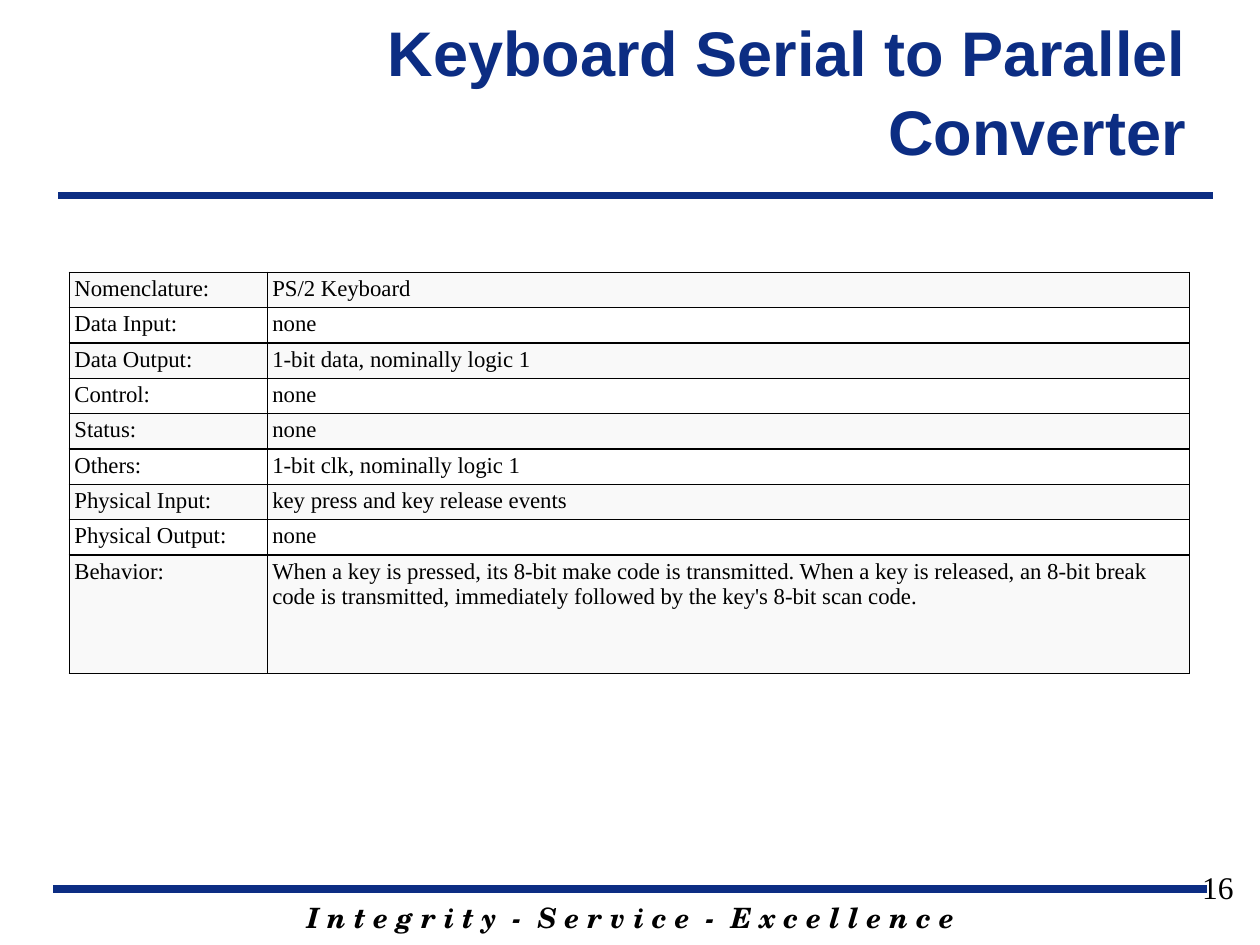
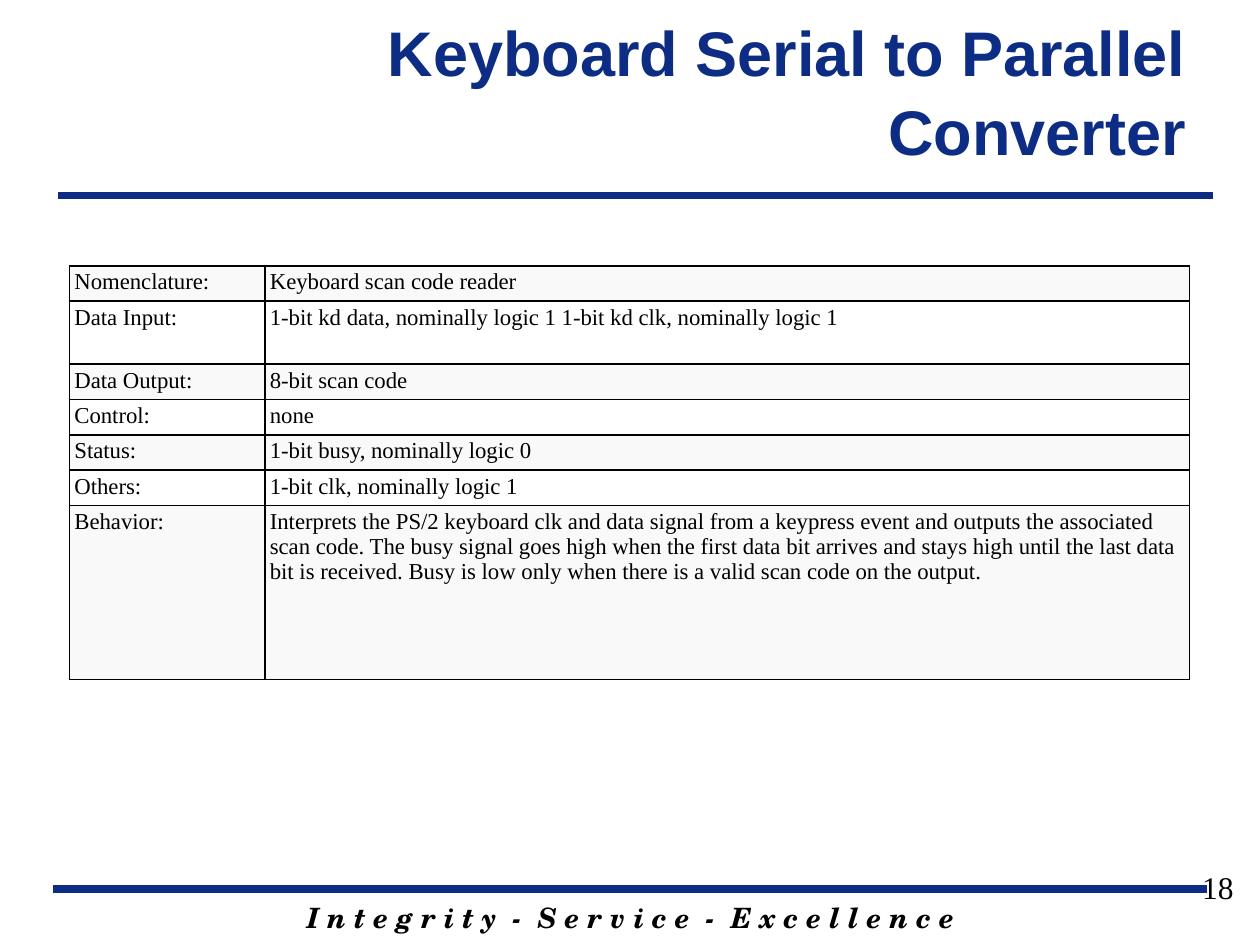
from lxml.etree import SubElement
from pptx import Presentation
from pptx.dml.color import RGBColor
from pptx.enum.shapes import MSO_CONNECTOR
from pptx.enum.text import MSO_ANCHOR, PP_ALIGN
from pptx.oxml.ns import qn
from pptx.util import Cm, Pt

NAVY = RGBColor(0x0C, 0x2D, 0x83)
BLACK = RGBColor(0, 0, 0)
WHITE = RGBColor(0xFF, 0xFF, 0xFF)
PALE = RGBColor(0xF9, 0xF9, 0xF9)

TITLE = "Keyboard Serial to Parallel Converter"
MOTTO = "I n t e g r i t y  -  S e r v i c e  -  E x c e l l e n c e"
RULES = [(1.07, 24.33, 17.93), (1.17, 24.46, 3.94)]  # left, right, y
TABLE_LEFT, TABLE_WIDTH, ROW_HEIGHT = 1.4, 22.58, 0.71

# Each row: label, value and, where it is taller than usual, its height
slides = [
    {"number": 16, "top": 5.49, "label_width": 3.99, "rows": [
        ("Nomenclature:", "PS/2 Keyboard"),
        ("Data Input:", "none"),
        ("Data Output:", "1-bit data, nominally logic 1"),
        ("Control:", "none"),
        ("Status:", "none"),
        ("Others:", "1-bit clk, nominally logic 1"),
        ("Physical Input:", "key press and key release events"),
        ("Physical Output:", "none"),
        ("Behavior:",
         "When a key is pressed, its 8-bit make code is transmitted. "
         "When a key is released, an 8-bit break code is transmitted, "
         "immediately followed by the key's 8-bit scan code.", 2.39),
    ]},
    {"number": 18, "top": 5.36, "label_width": 3.94, "rows": [
        ("Nomenclature:", "Keyboard scan code reader"),
        ("Data Input:",
         "1-bit kd data, nominally logic 1 1-bit kd clk, nominally logic 1",
         1.27),
        ("Data Output:", "8-bit scan code"),
        ("Control:", "none"),
        ("Status:", "1-bit busy, nominally logic 0"),
        ("Others:", "1-bit clk, nominally logic 1"),
        ("Behavior:",
         "Interprets the PS/2 keyboard clk and data signal from a keypress "
         "event and outputs the associated scan code. The busy signal goes "
         "high when the first data bit arrives and stays high until the last "
         "data bit is received. Busy is low only when there is a valid scan "
         "code on the output.", 3.51),
    ]},
]


def add_text(s, box, text, font, size, color, align):
    """Add a one-paragraph text box (box in cm) and return its text frame."""
    tf = s.shapes.add_textbox(*[Cm(v) for v in box]).text_frame
    tf.word_wrap = True
    p = tf.paragraphs[0]
    p.text = text
    p.alignment = align
    p.font.name, p.font.size, p.font.color.rgb = font, Pt(size), color
    return tf


def fill_cell(cell, text, fill):
    """Write a table cell with its fill, tight margins and thin black borders."""
    cell.margin_left = cell.margin_right = Cm(0.1)
    cell.margin_top = cell.margin_bottom = Cm(0.08)
    p = cell.text_frame.paragraphs[0]
    p.text = text
    p.font.name, p.font.size = "Times New Roman", Pt(13)
    p.font.color.rgb = BLACK
    tc_pr = cell._tc.get_or_add_tcPr()
    for side in ("a:lnL", "a:lnR", "a:lnT", "a:lnB"):
        ln = SubElement(tc_pr, qn(side), w=str(Pt(1)))
        solid = SubElement(ln, qn("a:solidFill"))
        SubElement(solid, qn("a:srgbClr"), val=str(BLACK))
    cell.fill.solid()
    cell.fill.fore_color.rgb = fill


prs = Presentation()
prs.slide_width, prs.slide_height = Cm(25.4), Cm(19.05)

for content in slides:
    s = prs.slides.add_slide(prs.slide_layouts[6])

    for left, right, y in RULES:
        rule = s.shapes.add_connector(
            MSO_CONNECTOR.STRAIGHT, Cm(left), Cm(y), Cm(right), Cm(y))
        rule.line.color.rgb = NAVY
        rule.line.width = Pt(4.5)
        SubElement(rule._element.spPr, qn("a:effectLst"))

    tf = add_text(s, (3.61, 18.03, 18.21, 0.94), MOTTO,
                  "TeX Gyre Schola", 16, BLACK, PP_ALIGN.CENTER)
    tf.paragraphs[0].font.bold = tf.paragraphs[0].font.italic = True

    tf = add_text(s, (5.31, 0.2, 18.85, 3.18), TITLE,
                  "Arial", 36, NAVY, PP_ALIGN.RIGHT)
    tf.vertical_anchor = MSO_ANCHOR.MIDDLE
    tf.paragraphs[0].font.bold = True
    tf.paragraphs[0].line_spacing = 1.05

    rows = content["rows"]
    heights = [row[2] if len(row) > 2 else ROW_HEIGHT for row in rows]
    table = s.shapes.add_table(
        len(rows), 2, Cm(TABLE_LEFT), Cm(content["top"]),
        Cm(TABLE_WIDTH), Cm(sum(heights))).table
    table.first_row = table.horz_banding = False
    table.columns[0].width = Cm(content["label_width"])
    table.columns[1].width = Cm(TABLE_WIDTH - content["label_width"])
    for i, row in enumerate(rows):
        table.rows[i].height = Cm(heights[i])
        for j, text in enumerate(row[:2]):
            fill_cell(table.cell(i, j), text, WHITE if i % 2 else PALE)

    add_text(s, (19.2, 17.37, 5.92, 1.32), str(content["number"]),
             "Times New Roman", 18, BLACK, PP_ALIGN.RIGHT)

prs.save("out.pptx")
